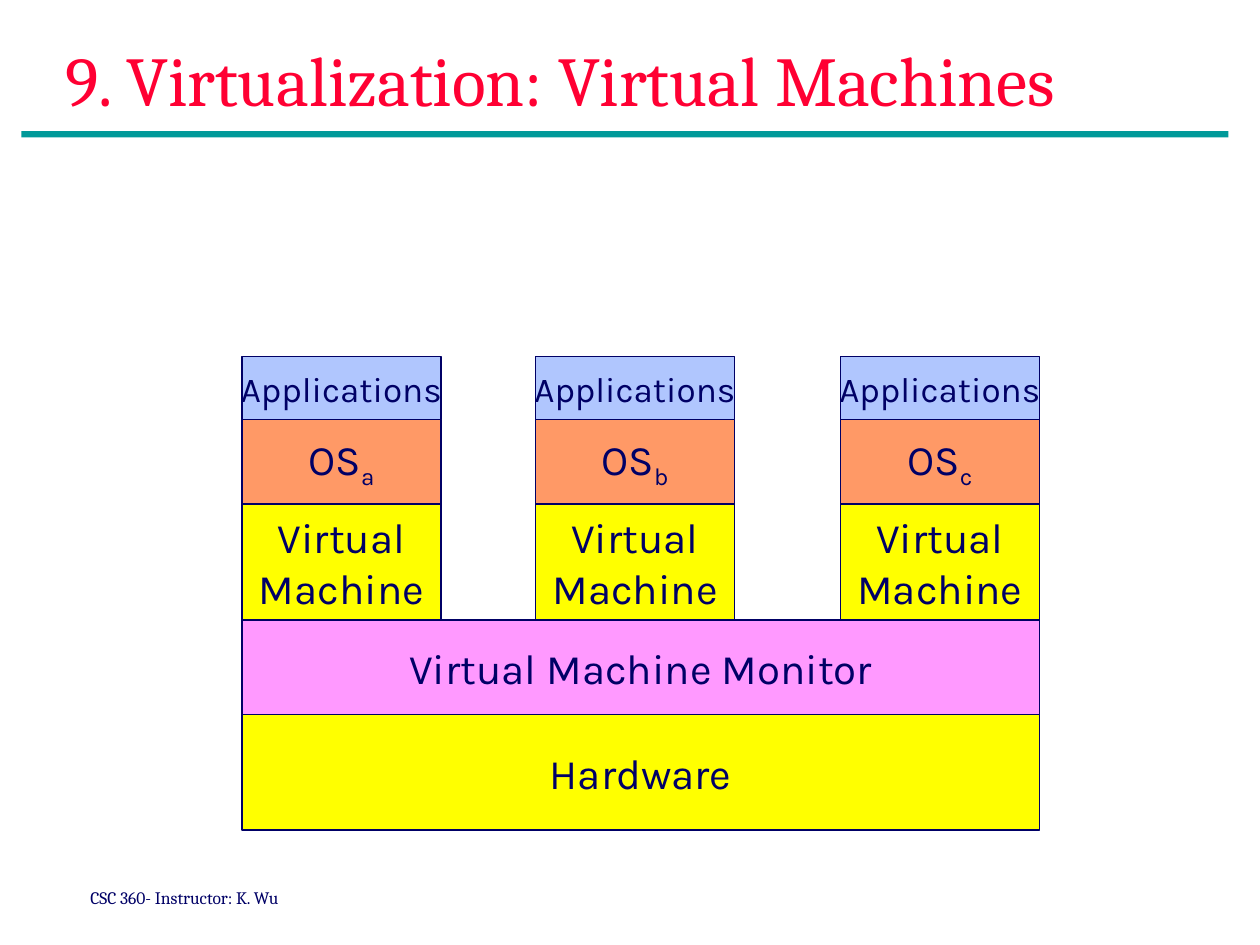
from dataclasses import dataclass

from pptx import Presentation
from pptx.dml.color import RGBColor
from pptx.enum.shapes import MSO_SHAPE
from pptx.enum.text import MSO_ANCHOR, PP_ALIGN
from pptx.util import Inches, Pt

NAVY = RGBColor(0x00, 0x00, 0x66)
RED = RGBColor(0xFF, 0x00, 0x33)
TEAL = RGBColor(0x00, 0x99, 0x99)
YELLOW = RGBColor(0xFF, 0xFF, 0x00)
PINK = RGBColor(0xFF, 0x99, 0xFF)
ORANGE = RGBColor(0xFF, 0x99, 0x66)
BLUE = RGBColor(0xB0, 0xC6, 0xFE)

SERIF = "Cambria"
SANS = "Karla"

STACK_LEFT = 1.92
STACK_WIDTH = 6.33
GUEST_WIDTH = 1.58
GUESTS = {"a": 1.92, "b": 4.25, "c": 6.67}  # OS subscript -> left edge


@dataclass(frozen=True)
class Layer:
    label: str
    top: float
    height: float
    fill: RGBColor
    size: int = 24
    numbered: bool = False


HOST_LAYERS = (
    Layer("Hardware", 5.67, 0.92, YELLOW),
    Layer("Virtual Machine Monitor", 4.92, 0.75, PINK),
)
GUEST_LAYERS = (
    Layer("Virtual\nMachine", 4.0, 0.92, YELLOW),
    Layer("OS", 3.33, 0.67, ORANGE, numbered=True),
    Layer("Applications", 2.83, 0.5, BLUE, size=20),
)


def write(frame, text: str, *, size: int, font: str, color: RGBColor = NAVY,
          align: PP_ALIGN = PP_ALIGN.LEFT, subscript: str = "",
          wrap: bool = False) -> None:
    """Fill a text frame with one paragraph and an optional subscript."""
    frame.word_wrap = wrap
    paragraph = frame.paragraphs[0]
    paragraph.text = text.replace("\n", "\v")
    paragraph.alignment = align
    if subscript:
        lowered = paragraph.add_run()
        lowered.text = subscript
        lowered._r.get_or_add_rPr().set("baseline", "-25000")
    for run in paragraph.runs:
        run.font.size = Pt(size)
        run.font.name = font
        run.font.color.rgb = color


def add_box(slide, left: float, top: float, width: float, height: float,
            fill: RGBColor):
    box = slide.shapes.add_shape(MSO_SHAPE.RECTANGLE, Inches(left), Inches(top),
                                 Inches(width), Inches(height))
    box.shadow.inherit = False
    box.fill.solid()
    box.fill.fore_color.rgb = fill
    box.line.fill.background()
    return box


def add_layer(slide, layer: Layer, left: float, width: float,
              subscript: str = "") -> None:
    box = add_box(slide, left, layer.top, width, layer.height, layer.fill)
    box.line.color.rgb = NAVY
    box.line.width = Pt(1)
    box.text_frame.vertical_anchor = MSO_ANCHOR.MIDDLE
    write(box.text_frame, layer.label, size=layer.size, font=SANS,
          align=PP_ALIGN.CENTER, subscript=subscript)


def main() -> None:
    deck = Presentation()
    deck.slide_width, deck.slide_height = Inches(10), Inches(7.5)
    slide = deck.slides.add_slide(deck.slide_layouts[6])

    # Rule, footer and title
    add_box(slide, 0.17, 1.04, 9.58, 0.05, TEAL)
    footer = slide.shapes.add_textbox(Inches(0.62), Inches(6.99),
                                      Inches(1.97), Inches(0.27))
    write(footer.text_frame, "CSC 360- Instructor: K. Wu", size=10, font=SERIF)
    title = slide.shapes.add_textbox(Inches(0.42), Inches(0.24),
                                     Inches(9.35), Inches(0.88))
    write(title.text_frame, "9. Virtualization: Virtual Machines", size=40,
          font=SERIF, color=RED, wrap=True)

    # Shared host layers
    for layer in HOST_LAYERS:
        add_layer(slide, layer, STACK_LEFT, STACK_WIDTH)

    # One guest stack per operating system
    for letter, left in GUESTS.items():
        for layer in GUEST_LAYERS:
            add_layer(slide, layer, left, GUEST_WIDTH,
                      subscript=letter if layer.numbered else "")

    deck.save("out.pptx")


if __name__ == "__main__":
    main()
